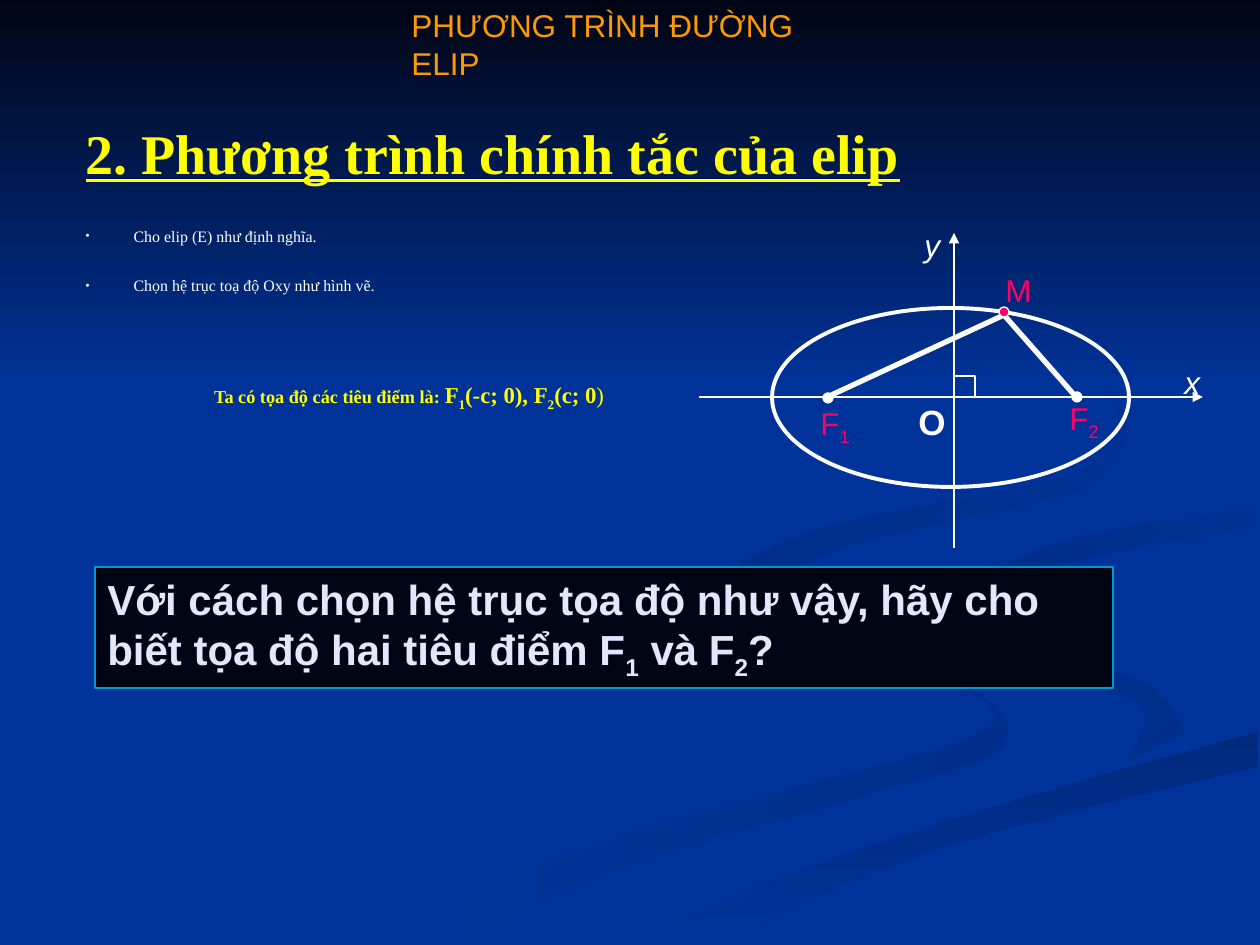
from dataclasses import dataclass

from lxml.etree import SubElement
from pptx import Presentation
from pptx.dml.color import RGBColor
from pptx.enum.shapes import MSO_CONNECTOR, MSO_SHAPE
from pptx.enum.text import MSO_ANCHOR, MSO_AUTO_SIZE, PP_ALIGN
from pptx.oxml.ns import qn
from pptx.util import Emu, Pt


@dataclass(frozen=True)
class Theme:
    """Colours, fonts, type sizes and line widths of the slide."""
    blue: str = "003399"
    shade: str = "002E8A"
    night: str = "000514"
    white: str = "FFFFFF"
    yellow: str = "FFFF00"
    pink: str = "FF0066"
    orange: str = "FF9900"
    orange_edge: str = "FF6600"
    lilac: str = "E5E5FF"
    cyan: str = "0099CC"
    sans: str = "Arial"
    serif: str = "Times New Roman"
    title: float = 32
    question: float = 24
    origin: float = 20
    label: float = 18
    focus: float = 13
    lead: float = 10.4
    item: float = 9.1
    thin: float = 0.74
    curve: float = 2.24
    thick: float = 3


T = Theme()
SCALE = 914400 / 126

# Each swoosh: start colour, end colour, clockwise angle, outward edge, return edge
SWOOSHES = [
    (T.shade, T.blue, 180,
     [(724, 578), (758, 624), (856, 654), (984, 701), (966, 739), (776, 793), (577, 849),
      (378, 944)],
     [(455, 944), (629, 866), (852, 799), (997, 752), (984, 697), (859, 654), (759, 617),
      (724, 578)]),
    (T.shade, T.blue, 225,
     [(912, 585), (940, 630), (1056, 675), (1143, 708), (1126, 762)],
     [(1186, 732), (1140, 680), (998, 641), (912, 585)]),
    ("00297C", T.blue, 90,
     [(634, 944), (794, 873), (1004, 804), (1257, 732)],
     [(1257, 767), (989, 833), (844, 885), (719, 944)]),
    (T.blue, "002C85", 225,
     [(1041, 625), (1014, 600), (1062, 564), (1257, 529)],
     [(1257, 507), (1090, 534), (985, 580), (1041, 625)]),
    (T.blue, "002B81", 225,
     [(960, 294), (1066, 352), (1120, 422), (1061, 476), (818, 529), (727, 582), (784, 630)],
     [(747, 592), (861, 542), (1077, 493), (1126, 433), (1089, 367), (960, 294)]),
]


def px(*values):
    """Turn picture pixels into EMU."""
    return [Emu(round(v * SCALE)) for v in values]


def smooth(edge, steps=5):
    """Return points of a Catmull-Rom curve through an open edge."""
    pts = [edge[0], *edge, edge[-1]]
    curve = [edge[0]]
    for a, b, c, d in zip(pts, pts[1:], pts[2:], pts[3:]):
        for t in (i / steps for i in range(1, steps + 1)):
            curve.append(tuple(
                (2 * q + (r - p) * t + (2 * p - 5 * q + 4 * r - w) * t ** 2
                 + (3 * q - p - 3 * r + w) * t ** 3) / 2
                for p, q, r, w in zip(a, b, c, d)))
    return curve


def paint(sp, fill=None, line=None, width=T.thin):
    """Set the fill and line of a shape and drop its shadow."""
    sp.shadow.inherit = False
    if fill:
        sp.fill.solid()
        sp.fill.fore_color.rgb = RGBColor.from_string(fill)
    else:
        sp.fill.background()
    if line:
        sp.line.color.rgb = RGBColor.from_string(line)
        sp.line.width = Pt(width)
    else:
        sp.line.fill.background()


def paint_gradient(sp, start, end, angle):
    """Give a shape a two-colour gradient and no line."""
    paint(sp)
    sp.fill.gradient()
    sp.fill.gradient_angle = 360 - angle
    for stop, color in zip(sp.fill.gradient_stops, (start, end)):
        stop.color.rgb = RGBColor.from_string(color)


def add_swoosh(shapes, start, end, angle, out, back):
    """Draw a gradient ribbon between two curved edges."""
    points = smooth(out) + smooth(back)
    builder = shapes.build_freeform(*points[0], scale=SCALE)
    builder.add_line_segments(points[1:], close=True)
    paint_gradient(builder.convert_to_shape(), start, end, angle)


def add_shape(shapes, kind, box, **look):
    """Add a preset shape."""
    sp = shapes.add_shape(kind, *px(*box))
    paint(sp, **look)
    return sp


def add_line(shapes, start, end, width, arrow=False):
    """Add a white straight line, with an optional arrowhead."""
    sp = shapes.add_connector(MSO_CONNECTOR.STRAIGHT, *px(*start, *end))
    sp.line.color.rgb = RGBColor.from_string(T.white)
    sp.line.width = Pt(width)
    if arrow:
        SubElement(sp.line._get_or_add_ln(), qn("a:tailEnd"), type="triangle")
    SubElement(sp._element.spPr, qn("a:effectLst"))


def write(p, text, size, color, font=T.sans, bold=False, italic=False, underline=None):
    """Append runs to a paragraph; parts between underscores are subscripts."""
    for i, part in enumerate(text.split("_")):
        if not part:
            continue
        r = p.add_run()
        r.text = part
        f = r.font
        f.name, f.size, f.bold, f.italic, f.underline = font, Pt(size), bold, italic, underline
        f.color.rgb = RGBColor.from_string(color)
        if i % 2:
            f._element.set("baseline", "-25000")


def add_label(shapes, box, text, size, color, wrap=True, **look):
    """Add a text box with one paragraph and return that paragraph."""
    tf = shapes.add_textbox(*px(*box)).text_frame
    tf.word_wrap = wrap
    write(tf.paragraphs[0], text, size, color, **look)
    return tf.paragraphs[0]


def place(sp, box, anchor):
    """Move a placeholder and return its text frame."""
    sp.left, sp.top, sp.width, sp.height = px(*box)
    tf = sp.text_frame
    tf.word_wrap, tf.auto_size, tf.vertical_anchor = True, MSO_AUTO_SIZE.NONE, anchor
    return tf


def format_item(p, before, align, bullet):
    """Set the spacing, hanging indent and bullet of a list paragraph."""
    p.alignment, p.space_before, p.line_spacing = align, Pt(before), 1.0
    pPr = p._p.get_or_add_pPr()
    indent = px(48)[0]
    pPr.set("marL", str(indent))
    pPr.set("indent", str(-indent))
    if bullet:
        SubElement(SubElement(pPr, qn("a:buClr")), qn("a:srgbClr"), val=T.white)
        SubElement(pPr, qn("a:buSzPct"), val="70000")
        SubElement(pPr, qn("a:buChar"), char="•")
    else:
        SubElement(pPr, qn("a:buNone"))


def fill_body(tf):
    """Write the two bullets and the centred result."""
    p = tf.paragraphs[0]
    for text in ("Cho elip (E) như định nghĩa.", "Chọn hệ trục toạ độ Oxy như hình vẽ."):
        format_item(p, 17.5, PP_ALIGN.JUSTIFY, True)
        write(p, text, T.item, T.white, T.serif)
        p = tf.add_paragraph()
    format_item(p, 49, PP_ALIGN.CENTER, False)
    write(p, "Ta có tọa độ các tiêu điểm là: ", T.lead, T.yellow, T.serif, bold=True)
    write(p, "F_1_(-c; 0), F_2_(c; 0", T.focus, T.yellow, T.serif, bold=True)
    write(p, ")", T.focus, T.yellow, T.serif)


def add_ellipse_figure(shapes):
    """Draw the ellipse with its axes, foci and the point M."""
    add_shape(shapes, MSO_SHAPE.OVAL, (772, 308, 357, 179), line=T.white, width=T.curve)
    for focus in ((825, 398), (1077, 398)):
        add_line(shapes, focus, (1004, 315), T.thick)
    for name, x, y in (("M", 993, 265), ("F_1_", 808, 398), ("F_2_", 1057, 393)):
        add_label(shapes, (x, y, 60, 55), name, T.label, T.pink)
    for x, y, color in ((828, 398, T.white), (1077, 397, T.white), (1004, 312, T.pink)):
        add_shape(shapes, MSO_SHAPE.OVAL, (x - 5, y - 5, 10, 10), fill=color, line=T.white)
    add_line(shapes, (699, 397), (1203, 397), T.thin, arrow=True)
    add_line(shapes, (954, 548), (954, 233), T.thin, arrow=True)
    add_label(shapes, (906, 394, 53, 55), "O", T.origin, T.white, bold=True)
    for name, x, y in (("x", 1172, 357), ("y", 912, 220)):
        add_label(shapes, (x, y, 40, 50), name, T.label, T.white, wrap=False, italic=True)
    add_shape(shapes, MSO_SHAPE.RECTANGLE, (954, 376, 21, 21), line=T.white)


def add_question(shapes):
    """Add the framed question."""
    sp = add_shape(shapes, MSO_SHAPE.RECTANGLE, (95, 567, 1018, 121), fill=T.night, line=T.cyan)
    tf = sp.text_frame
    tf.word_wrap, tf.vertical_anchor = True, MSO_ANCHOR.TOP
    tf.paragraphs[0].alignment = PP_ALIGN.LEFT
    write(tf.paragraphs[0], "Với cách chọn hệ trục tọa độ như vậy, hãy cho biết tọa độ "
          "hai tiêu điểm F_1_ và F_2_?", T.question, T.lilac, bold=True)


def add_backdrop(s):
    """Put the swooshes and the dark top band behind everything."""
    s.background.fill.solid()
    s.background.fill.fore_color.rgb = RGBColor.from_string(T.blue)
    group = s.shapes.add_group_shape()
    for swoosh in SWOOSHES:
        add_swoosh(group.shapes, *swoosh)
    band = add_shape(group.shapes, MSO_SHAPE.RECTANGLE, (0, 0, 1260, 388))
    paint_gradient(band, T.night, T.blue, 90)
    s.shapes._spTree.insert(2, group._element)


def add_heading(shapes):
    """Add the outlined lesson heading at the top."""
    p = add_label(shapes, (399, 0, 473, 73), "PHƯƠNG TRÌNH ĐƯỜNG ELIP", T.label, T.orange,
                  wrap=False)
    rPr = p.runs[0].font._element
    ln = SubElement(rPr, qn("a:ln"), w=str(Pt(T.thin)))
    SubElement(SubElement(ln, qn("a:solidFill")), qn("a:srgbClr"), val=T.orange_edge)
    rPr.insert(0, ln)


def main():
    """Build the slide and save it."""
    prs = Presentation()
    prs.slide_width, prs.slide_height = px(1260, 945)
    s = prs.slides.add_slide(prs.slide_layouts[1])
    add_backdrop(s)
    p = place(s.shapes.title, (73, 116, 861, 73), MSO_ANCHOR.MIDDLE).paragraphs[0]
    p.alignment = PP_ALIGN.LEFT
    write(p, "2. Phương trình chính tắc của elip", T.title, T.yellow, T.serif,
          bold=True, underline=True)
    fill_body(place(s.placeholders[1], (73, 220, 672, 189), MSO_ANCHOR.TOP))
    add_question(s.shapes)
    add_ellipse_figure(s.shapes.add_group_shape().shapes)
    add_heading(s.shapes)
    prs.save("out.pptx")


main()
